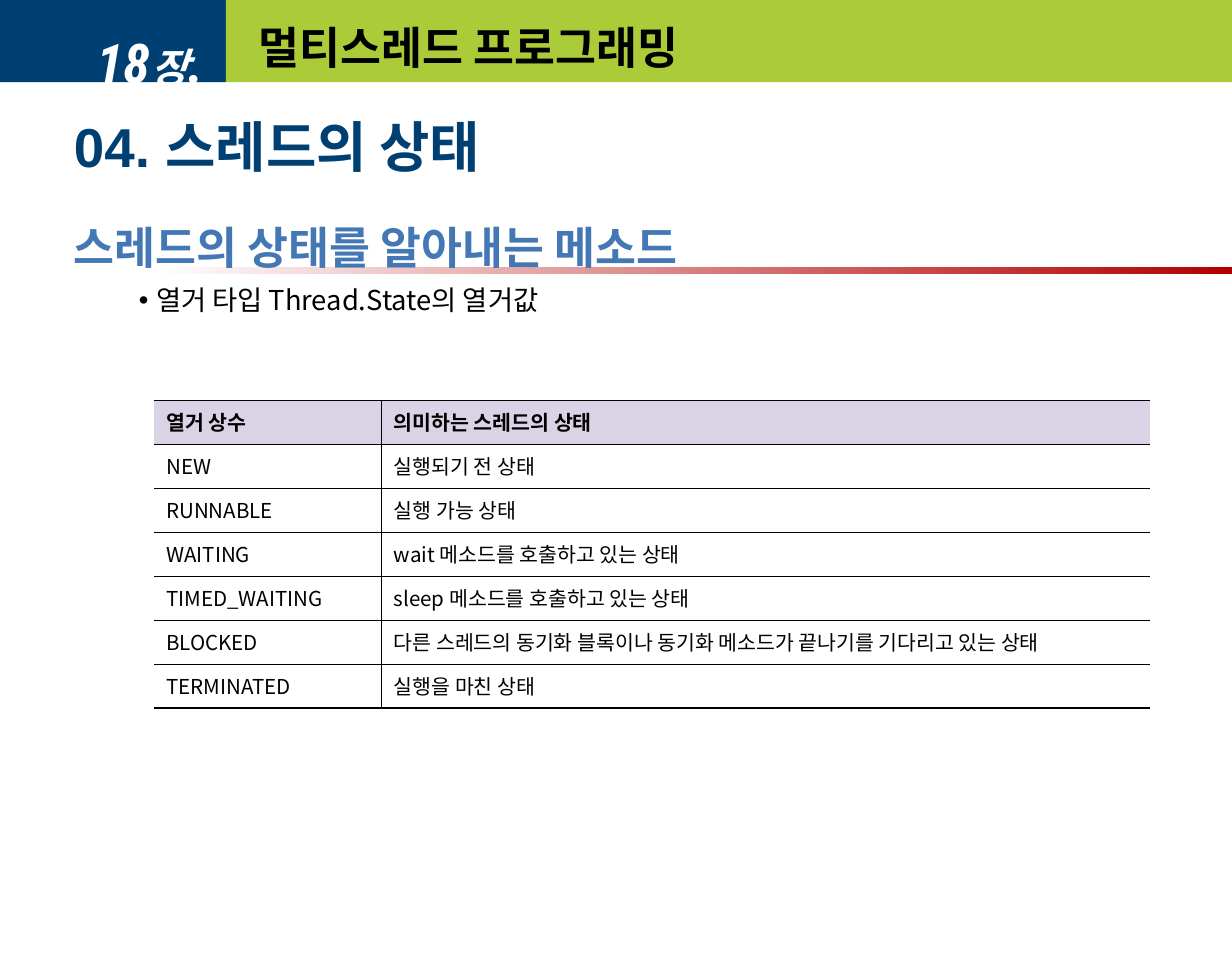
from dataclasses import dataclass

from lxml import etree
from pptx import Presentation
from pptx.dml.color import RGBColor
from pptx.enum import shapes, text
from pptx.oxml import ns
from pptx.util import Pt

COLORS = {
    "navy": "003F71", "lime": "ACCB39", "red": "B20000", "blue": "4378B5",
    "lilac": "DAD3E5", "black": "000000", "white": "FFFFFF",
}
KOREAN = "Noto Sans CJK KR"


@dataclass
class Box:
    left: float
    top: float
    width: float
    height: float

    def lengths(self) -> list:
        return [Pt(v) for v in (self.left, self.top, self.width, self.height)]


@dataclass
class Style:
    size: float
    color: str = "black"
    font: str = KOREAN
    bold: bool = True
    italic: bool = False


ROWS = [
    ("열거 상수", "의미하는 스레드의 상태"),
    ("NEW", "실행되기 전 상태"),
    ("RUNNABLE", "실행 가능 상태"),
    ("WAITING", "wait 메소드를 호출하고 있는 상태"),
    ("TIMED_WAITING", "sleep 메소드를 호출하고 있는 상태"),
    ("BLOCKED", "다른 스레드의 동기화 블록이나 동기화 메소드가 끝나기를 기다리고 있는 상태"),
    ("TERMINATED", "실행을 마친 상태"),
]
COL_WIDTHS = (133, 449)
ROW_HEIGHT = 25.7


def rgb(name: str) -> RGBColor:
    return RGBColor.from_string(COLORS[name])


def add_run(p, content: str, style: Style) -> None:
    r = p.add_run()
    r.text = content
    f = r.font
    f.name, f.size, f.bold, f.italic = style.font, Pt(style.size), style.bold, style.italic
    f.color.rgb = rgb(style.color)
    ea = etree.Element(ns.qn("a:ea"), typeface=KOREAN)
    r._r.rPr.find(ns.qn("a:latin")).addnext(ea)


def add_band(s, box: Box, color: str):
    sp = s.shapes.add_shape(shapes.MSO_SHAPE.RECTANGLE, *box.lengths())
    sp.shadow.inherit = False
    sp.line.fill.background()
    sp.fill.solid()
    sp.fill.fore_color.rgb = rgb(color)
    return sp


def place(s, sp, box: Box, anchor, inset: float):
    sp.left, sp.top, sp.width, sp.height = box.lengths()
    s.shapes._spTree.append(sp._element)
    tf = sp.text_frame
    tf.word_wrap = True
    tf.auto_size = text.MSO_AUTO_SIZE.NONE
    tf.vertical_anchor = anchor
    tf.margin_left = tf.margin_right = Pt(7.2)
    tf.margin_top = tf.margin_bottom = Pt(inset)
    return tf


def set_bullet(p, char: str = "", left: float = 0, hanging: float = 0) -> None:
    pPr = p._p.get_or_add_pPr()
    pPr.set("marL", str(Pt(left)))
    pPr.set("indent", str(-Pt(hanging)))
    if char:
        etree.SubElement(pPr, ns.qn("a:buFont"), typeface="Arial")
        etree.SubElement(pPr, ns.qn("a:buChar"), char=char)
    else:
        etree.SubElement(pPr, ns.qn("a:buNone"))


def set_borders(cell, sides: dict) -> None:
    tcPr = cell._tc.get_or_add_tcPr()
    for i, side in enumerate(("L", "R", "T", "B")):
        width = sides.get(side, 0)
        ln = etree.Element(ns.qn(f"a:ln{side}"), w=str(Pt(width)))
        if width:
            fill = etree.SubElement(ln, ns.qn("a:solidFill"))
            etree.SubElement(fill, ns.qn("a:srgbClr"), val=COLORS["black"])
        else:
            etree.SubElement(ln, ns.qn("a:noFill"))
        tcPr.insert(i, ln)


def add_state_table(s) -> None:
    box = Box(90, 234, sum(COL_WIDTHS), ROW_HEIGHT * len(ROWS))
    tbl = s.shapes.add_table(len(ROWS), len(COL_WIDTHS), *box.lengths()).table
    tbl.first_row = tbl.horz_banding = False
    for col, width in zip(tbl.columns, COL_WIDTHS):
        col.width = Pt(width)
    for i, values in enumerate(ROWS):
        tbl.rows[i].height = Pt(ROW_HEIGHT)
        header, last = i == 0, i == len(ROWS) - 1
        for j, value in enumerate(values):
            cell = tbl.cell(i, j)
            if header:
                cell.fill.solid()
                cell.fill.fore_color.rgb = rgb("lilac")
            else:
                cell.fill.background()
            set_borders(cell, {"T": 1.08 if header else 0.45,
                               "B": 1.08 if last else 0.45,
                               "L" if j else "R": 0.45})
            add_run(cell.text_frame.paragraphs[0], value, Style(12, bold=header))


def main() -> None:
    prs = Presentation()
    prs.slide_width, prs.slide_height = Pt(720), Pt(566.64)
    s = prs.slides.add_slide(prs.slide_layouts[1])
    title, body = s.placeholders[0], s.placeholders[1]

    add_band(s, Box(0, 0, 132, 48), "navy")
    chapter_box = Box(0, 6, 126, 60)
    chapter = s.shapes.add_textbox(*chapter_box.lengths())
    tf = place(s, chapter, chapter_box, text.MSO_ANCHOR.MIDDLE, 3.6)
    p = tf.paragraphs[0]
    p.alignment = text.PP_ALIGN.RIGHT
    for content, size in (("18", 32), ("장", 24), (".", 32)):
        add_run(p, content, Style(size, "white", "Roboto Condensed", italic=True))

    add_band(s, Box(132, 0, 588, 48), "lime")
    tf = place(s, title, Box(144, 6, 564, 43), text.MSO_ANCHOR.MIDDLE, 0)
    p = tf.paragraphs[0]
    p.alignment = text.PP_ALIGN.LEFT
    add_run(p, "멀티스레드 프로그래밍", Style(26))

    rule = add_band(s, Box(90, 156, 630, 4), "red")
    rule.fill.gradient()
    rule.fill.gradient_angle = 0
    for stop, color in zip(rule.fill.gradient_stops, ("white", "red")):
        stop.color.rgb = rgb(color)

    tf = place(s, body, Box(36, 66, 647, 426), text.MSO_ANCHOR.TOP, 0)
    p = tf.paragraphs[0]
    set_bullet(p)
    p.space_before = Pt(0)
    add_run(p, "04. ", Style(32, "navy", "Arial"))
    add_run(p, "스레드의 상태", Style(32, "navy"))
    p = tf.add_paragraph()
    set_bullet(p)
    p.space_before = Pt(24)
    add_run(p, "스레드의 상태를 알아내는 메소드", Style(26, "blue", "Arial Narrow"))
    p = tf.add_paragraph()
    p.level = 2
    set_bullet(p, "•", 48, 10)
    p.space_before = Pt(6)
    add_run(p, "열거 타입 Thread.State의 열거값", Style(16, bold=False))

    add_state_table(s)
    prs.save("out.pptx")


if __name__ == "__main__":
    main()
